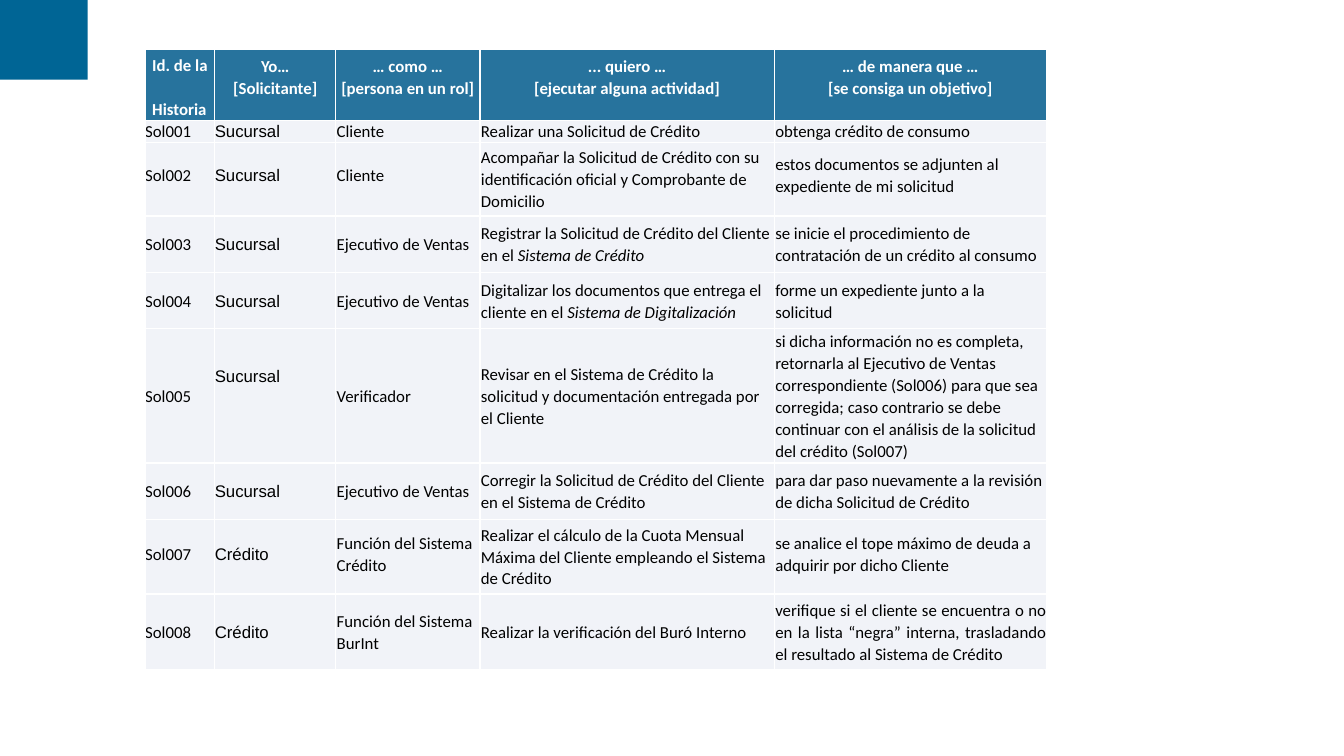
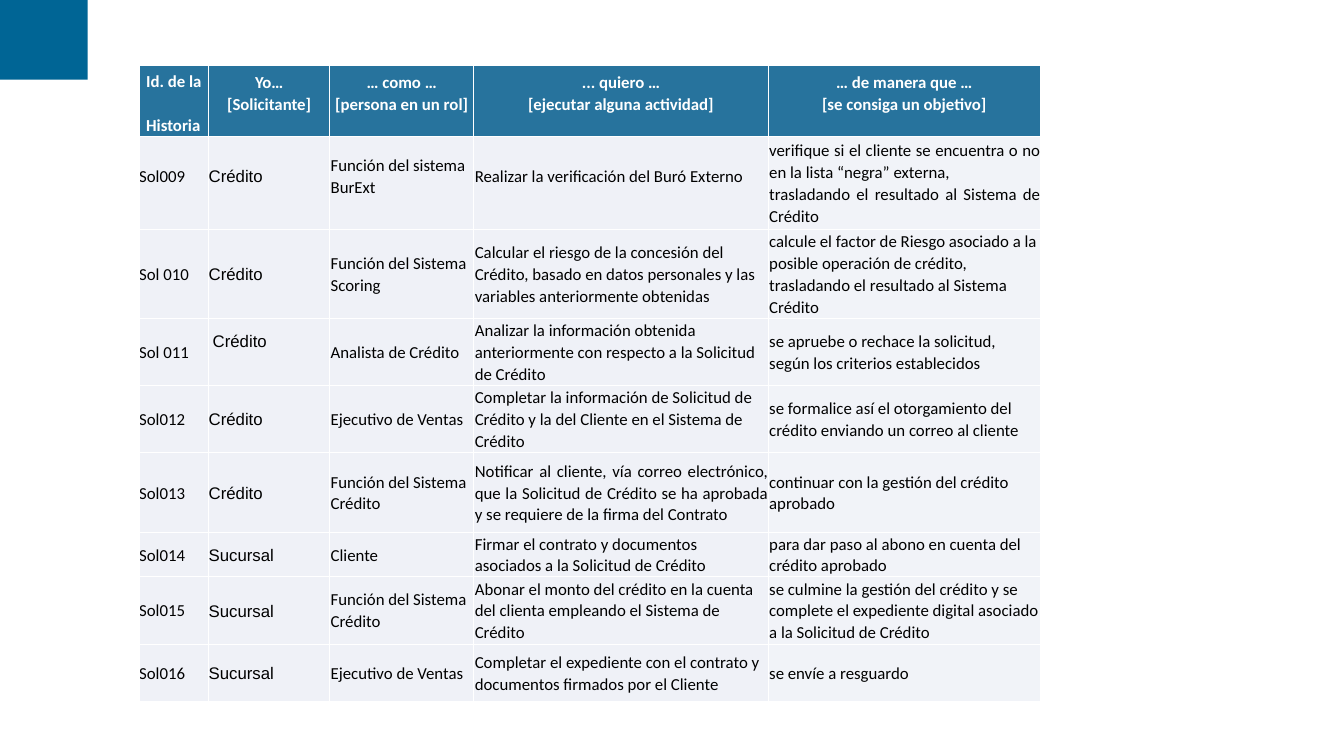
from lxml import etree
from pptx import Presentation
from pptx.dml.color import RGBColor
from pptx.enum.shapes import MSO_SHAPE
from pptx.enum.text import MSO_ANCHOR, PP_ALIGN
from pptx.oxml.ns import qn
from pptx.util import Inches, Pt

RECTANGLE = MSO_SHAPE.RECTANGLE
TOP, MIDDLE = MSO_ANCHOR.TOP, MSO_ANCHOR.MIDDLE
LEFT, CENTER, JUSTIFY = PP_ALIGN.LEFT, PP_ALIGN.CENTER, PP_ALIGN.JUSTIFY

COLORS = {
    "corner": "006595",
    "header": "27739D",
    "body": "F1F3F8",
    "body_alternate": "EFF1F7",
    "border": "FFFFFF",
    "header_text": "FFFFFF",
    "body_text": "000000",
}
COLUMN_WIDTHS = [0.69, 1.2, 1.43, 2.92, 2.7]
COLUMN_FONTS = ["Calibri", "Arial", "Calibri", "Calibri", "Calibri"]
HEADER_HEIGHT = 0.7
HEADERS = [
    "Id. de la\nHistoria",
    "Yo…\n[Solicitante]",
    "… como …\n[persona en un rol]",
    "... quiero …\n[ejecutar alguna actividad]",
    "… de manera que …\n[se consiga un objetivo]",
]
JUSTIFIED_STARTS = ("verifique", "Notificar")
LONG_TEXT = 70
APPLICANT_MARGINS = {
    "Sol005": {"margin_bottom": 0.4},
    "Sol 011": {"margin_bottom": 0.22, "margin_left": 0.04},
}

REQUEST_STORIES = [
    (0.22, 0, ["Sol001", "Sucursal", "Cliente",
               "Realizar una Solicitud de Crédito",
               "obtenga crédito de consumo"]),
    (0.73, 0.08, ["Sol002", "Sucursal", "Cliente",
                  "Acompañar la Solicitud de Crédito con su identificación oficial "
                  "y Comprobante de Domicilio",
                  "estos documentos se adjunten al expediente de mi solicitud"]),
    (0.56, 0, ["Sol003", "Sucursal", "Ejecutivo de Ventas",
               "Registrar la Solicitud de Crédito del Cliente en el *Sistema de Crédito*",
               "se inicie el procedimiento de contratación de un crédito al consumo"]),
    (0.56, 0, ["Sol004", "Sucursal", "Ejecutivo de Ventas",
               "Digitalizar los documentos que entrega el cliente en el "
               "*Sistema de Digitalización*",
               "forme un expediente junto a la\nsolicitud"]),
    (1.33, 0, ["Sol005", "Sucursal", "Verificador",
               "Revisar en el Sistema de Crédito la\n"
               "solicitud y documentación entregada por\nel Cliente",
               "si dicha información no es completa, retornarla al Ejecutivo de Ventas "
               "correspondiente (Sol006) para que sea corregida; caso contrario se debe "
               "continuar con el análisis de la solicitud del crédito (Sol007)"]),
    (0.56, 0, ["Sol006", "Sucursal", "Ejecutivo de Ventas",
               "Corregir la Solicitud de Crédito del Cliente en el Sistema de Crédito",
               "para dar paso nuevamente a la revisión de dicha Solicitud de Crédito"]),
    (0.74, 0.06, ["Sol007", "Crédito", "Función del Sistema Crédito",
                  "Realizar el cálculo de la Cuota Mensual Máxima del Cliente "
                  "empleando el Sistema de Crédito",
                  "se analice el tope máximo de deuda a adquirir por dicho Cliente"]),
    (0.75, 0, ["Sol008", "Crédito", "Función del Sistema BurInt",
               "Realizar la verificación del Buró Interno",
               "verifique si el cliente se encuentra o no en la lista “negra” interna, "
               "trasladando el resultado al Sistema de Crédito"]),
]
APPROVAL_STORIES = [
    (0.92, 0.14, ["Sol009", "Crédito", "Función del sistema BurExt",
                  "Realizar la verificación del Buró Externo",
                  "verifique si el cliente se encuentra o no en la lista “negra” externa,\n"
                  "trasladando el resultado al Sistema de Crédito"]),
    (0.89, 0, ["Sol 010", "Crédito", "Función del Sistema Scoring",
               "Calcular el riesgo de la concesión del Crédito, basado en datos "
               "personales y las variables anteriormente obtenidas",
               "calcule el factor de Riesgo asociado a la posible operación de crédito, "
               "trasladando el resultado al Sistema Crédito"]),
    (0.66, 0, ["Sol 011", "Crédito", "Analista de Crédito",
               "Analizar la información obtenida anteriormente con respecto a la "
               "Solicitud de Crédito",
               "se apruebe o rechace la solicitud,\nsegún los criterios establecidos"]),
    (0.67, 0, ["Sol012", "Crédito", "Ejecutivo de Ventas",
               "Completar la información de Solicitud de Crédito y la del Cliente "
               "en el Sistema de Crédito",
               "se formalice así el otorgamiento del crédito enviando un correo al cliente"]),
    (0.79, 0, ["Sol013", "Crédito", "Función del Sistema Crédito",
               "Notificar al cliente, vía correo electrónico, que la Solicitud de "
               "Crédito se ha aprobada y se requiere de la firma del Contrato",
               "continuar con la gestión del crédito aprobado"]),
    (0.44, 0, ["Sol014", "Sucursal", "Cliente",
               "Firmar el contrato y documentos\nasociados a la Solicitud de Crédito",
               "para dar paso al abono en cuenta del crédito aprobado"]),
    (0.67, 0, ["Sol015", "Sucursal", "Función del Sistema Crédito",
               "Abonar el monto del crédito en la cuenta del clienta empleando el "
               "Sistema de Crédito",
               "se culmine la gestión del crédito y se complete el expediente digital "
               "asociado a la Solicitud de Crédito"]),
    (0.57, 0, ["Sol016", "Sucursal", "Ejecutivo de Ventas",
               "Completar el expediente con el contrato y documentos firmados por el Cliente",
               "se envíe a resguardo"]),
]


def set_attributes(target, values):
    for name, value in values.items():
        setattr(target, name, value)


def set_borders(cell):
    properties = cell._tc.get_or_add_tcPr()
    for side in ("a:lnL", "a:lnR", "a:lnT", "a:lnB"):
        line = etree.SubElement(properties, qn(side), w=str(Pt(1)))
        fill = etree.SubElement(line, qn("a:solidFill"))
        etree.SubElement(fill, qn("a:srgbClr"), val=COLORS["border"])


def fill_cell(cell, text, fill, margins, anchor, alignment, font, color, gap=0):
    set_borders(cell)
    cell.fill.solid()
    cell.fill.fore_color.rgb = RGBColor.from_string(COLORS[fill])
    sides = dict.fromkeys(
        ("margin_left", "margin_top", "margin_right", "margin_bottom"), 0) | margins
    set_attributes(cell, {name: Inches(value) for name, value in sides.items()})
    cell.vertical_anchor = anchor
    for index, line in enumerate(text.split("\n")):
        frame = cell.text_frame
        paragraph = frame.add_paragraph() if index else frame.paragraphs[0]
        set_attributes(paragraph, {
            "alignment": alignment,
            "line_spacing": 1.07,
            "space_before": Pt(gap if index else 0),
        })
        for part, words in enumerate(line.split("*")):
            if words:
                run = paragraph.add_run()
                run.text = words
                set_attributes(run.font, font | {"size": Pt(12), "italic": part % 2 == 1})
                run.font.color.rgb = RGBColor.from_string(COLORS[color])


def add_header_row(table):
    font = {"name": "Calibri", "bold": True}
    for column, text in enumerate(HEADERS):
        if column == 0:
            layout = {"margins": {"margin_top": 0.05, "margin_left": 0.07},
                      "alignment": LEFT, "gap": 15.7}
        else:
            layout = {"margins": {"margin_top": 0.06}, "alignment": CENTER}
        fill_cell(table.cell(0, column), text, "header", anchor=TOP,
                  font=font, color="header_text", **layout)


def add_story_row(table, row, lift, texts, fills):
    for column, text in enumerate(texts):
        margins = {
            "margin_left": 0.01 if column > 1 else 0,
            "margin_bottom": lift if len(text) < LONG_TEXT else 0,
        }
        if column == 1:
            margins |= APPLICANT_MARGINS.get(texts[0], {})
        fill_cell(table.cell(row, column), text, fills[column], margins, MIDDLE,
                  JUSTIFY if text.startswith(JUSTIFIED_STARTS) else LEFT,
                  {"name": COLUMN_FONTS[column], "bold": False}, "body_text")


def add_story_table(slide, left, top, stories, fills):
    heights = [HEADER_HEIGHT] + [story[0] for story in stories]
    table = slide.shapes.add_table(
        len(heights), len(COLUMN_WIDTHS), Inches(left), Inches(top),
        Inches(sum(COLUMN_WIDTHS)), Inches(sum(heights))).table
    set_attributes(table, {"first_row": False, "horz_banding": False})
    for column, width in zip(table.columns, COLUMN_WIDTHS):
        column.width = Inches(width)
    for row, height in zip(table.rows, heights):
        row.height = Inches(height)
    add_header_row(table)
    for row, (_, lift, texts) in enumerate(stories, start=1):
        add_story_row(table, row, lift, texts, fills)


def add_corner(slide):
    shape = slide.shapes.add_shape(RECTANGLE, 0, 0, Inches(0.87), Inches(0.79))
    shape.shadow.inherit = False
    shape.fill.solid()
    shape.fill.fore_color.rgb = RGBColor.from_string(COLORS["corner"])
    shape.line.fill.background()


def add_story_slide(presentation, left, top, stories, fills):
    slide = presentation.slides.add_slide(presentation.slide_layouts[6])
    add_story_table(slide, left, top, stories, fills)
    add_corner(slide)


def main():
    presentation = Presentation()
    presentation.slide_width = Inches(13.33)
    presentation.slide_height = Inches(7.5)
    add_story_slide(presentation, 1.44, 0.49, REQUEST_STORIES, ["body"] * 5)
    add_story_slide(presentation, 1.38, 0.65, APPROVAL_STORIES,
                    ["body_alternate"] * 4 + ["body"])
    presentation.save("out.pptx")


if __name__ == "__main__":
    main()
